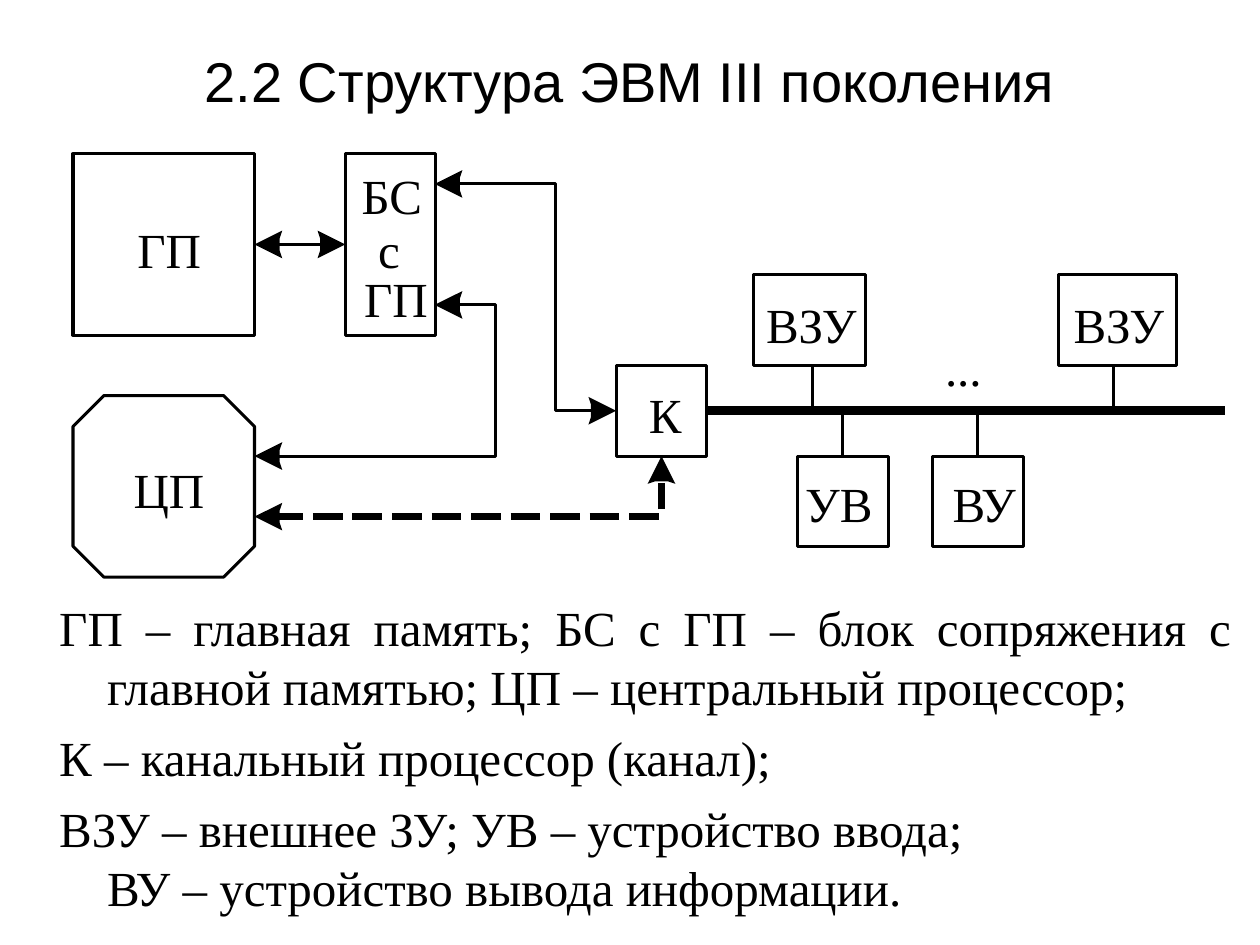
from dataclasses import dataclass

from lxml.etree import SubElement
from pptx import Presentation
from pptx.dml.color import RGBColor
from pptx.enum.shapes import MSO_CONNECTOR as Link, MSO_SHAPE as Form
from pptx.enum.text import MSO_ANCHOR as Anchor, MSO_AUTO_SIZE as Fit, PP_ALIGN as Align
from pptx.oxml.ns import qn
from pptx.util import Inches, Pt


@dataclass(frozen=True)
class Theme:
    ink: RGBColor = RGBColor(0, 0, 0)
    paper: RGBColor = RGBColor(255, 255, 255)
    head: str = "Arial"
    text: str = "Times New Roman"
    big: int = 32
    size: int = 28
    thin: float = 1.75
    dash: float = 4
    bus: float = 5.25


THEME = Theme()
TITLE = "2.2 Структура ЭВМ III поколения"
LEGEND = [
    "ГП – главная память; БС с ГП – блок сопряжения с главной памятью; "
    "ЦП – центральный процессор;",
    "К – канальный процессор (канал);",
    "ВЗУ – внешнее ЗУ; УВ – устройство ввода;\vВУ – устройство вывода информации.",
]
UNIT = 0.72  # side of a small block
BUS_Y = 3.26
SLACK = 0.12  # spare label width, so that no label breaks


def place(shape, x, y, w, h):
    shape.left, shape.top = Inches(x), Inches(y)
    shape.width, shape.height = Inches(w), Inches(h)


def style(par, name, size):
    for run in par.runs:
        run.font.name = name
        run.font.size = Pt(size)
        run.font.color.rgb = THEME.ink


def stroke(line, width):
    line.color.rgb = THEME.ink
    line.width = Pt(width)


def block(slide, x, y, w, h, form=Form.RECTANGLE):
    shape = slide.shapes.add_shape(form, Inches(x), Inches(y), Inches(w), Inches(h))
    shape.shadow.inherit = False
    shape.fill.solid()
    shape.fill.fore_color.rgb = THEME.paper
    stroke(shape.line, THEME.thin)
    return shape


def label(slide, text, x, y, w):
    box = slide.shapes.add_textbox(Inches(x), Inches(y), Inches(w + SLACK), Inches(0.47))
    frame = box.text_frame
    frame.margin_left = frame.margin_right = frame.margin_top = frame.margin_bottom = 0
    frame.word_wrap = True
    frame.auto_size = Fit.NONE
    frame.text = text
    frame.paragraphs[0].alignment = Align.LEFT
    style(frame.paragraphs[0], THEME.text, THEME.size)


def wire(slide, x1, y1, x2, y2, width=THEME.thin):
    line = slide.shapes.add_connector(
        Link.STRAIGHT, Inches(x1), Inches(y1), Inches(x2), Inches(y2))
    stroke(line.line, width)
    SubElement(line._element.spPr, qn("a:effectLst"))


def trace(slide, points, close=False):
    spots = [(Inches(x), Inches(y)) for x, y in points]
    pen = slide.shapes.build_freeform(*spots[0])
    pen.add_line_segments(spots[1:], close=close)
    shape = pen.convert_to_shape()
    shape.shadow.inherit = False
    return shape


def route(slide, points, width=THEME.thin):
    shape = trace(slide, points)
    shape.fill.background()
    stroke(shape.line, width)
    return shape


def arrow(slide, x, y, dx, dy):
    """Arrowhead with its tip at x, y, pointing along the unit step dx, dy."""
    ends = [(0, 0), (0.22, 0.11), (0.2, 0.05), (0.2, -0.05), (0.22, -0.11)]
    shape = trace(slide, [(x - dx * back - dy * side, y - dy * back + dx * side)
                          for back, side in ends], close=True)
    shape.fill.solid()
    shape.fill.fore_color.rgb = THEME.ink
    shape.line.fill.background()


def dashes(shape):
    line = shape.line._get_or_add_ln()
    dash = line.makeelement(qn("a:custDash"), {})
    SubElement(dash, qn("a:ds"), d="425000", sp="140000")
    line.find(qn("a:solidFill")).addnext(dash)


def heading(slide):
    title = slide.shapes.title
    place(title, 0.5, 0.08, 9, 1.11)
    frame = title.text_frame
    frame.text = TITLE
    frame.vertical_anchor = Anchor.MIDDLE
    frame.paragraphs[0].alignment = Align.CENTER
    style(frame.paragraphs[0], THEME.head, THEME.big)


def legend(slide):
    body = slide.placeholders[1]
    place(body, 0.37, 4.69, 9.5, 2.66)
    frame = body.text_frame
    frame.auto_size = Fit.NONE
    for i, text in enumerate(LEGEND):
        par = frame.add_paragraph() if i else frame.paragraphs[0]
        par.text = text
        props = par._p.get_or_add_pPr()
        props.set("marL", str(Inches(0.38)))
        props.set("indent", str(Inches(-0.38)))
        SubElement(props, qn("a:buNone"))
        par.alignment = Align.LEFT if i else Align.JUSTIFY
        par.space_before = Pt(7 if i else 0)
        style(par, THEME.text, THEME.size)


def main():
    deck = Presentation()
    deck.slide_width, deck.slide_height = Inches(10), Inches(7.5)
    slide = deck.slides.add_slide(deck.slide_layouts[1])
    legend(slide)
    heading(slide)

    # Bus and the stubs to its devices
    wire(slide, 5.61, BUS_Y, 9.72, BUS_Y, THEME.bus)
    for x in (6.45, 8.84):
        wire(slide, x, 2.9, x, BUS_Y)
    for x in (6.69, 7.76):
        wire(slide, x, BUS_Y, x, 3.62)

    # Blocks
    for x, y, w, h in [
        (0.58, 1.22, 2 * UNIT, 2 * UNIT),
        (2.74, 1.22, UNIT, 2 * UNIT),
        (4.89, 2.9, UNIT, UNIT),
        (5.98, 2.18, 0.89, UNIT),
        (8.4, 2.18, 0.94, UNIT),
        (6.33, 3.62, UNIT, UNIT),
        (7.4, 3.62, UNIT, UNIT),
    ]:
        block(slide, x, y, w, h)
    core = block(slide, 0.58, 3.14, 2 * UNIT, 2 * UNIT, Form.OCTAGON)
    core.adjustments[0] = 0.17

    # Data paths
    wire(slide, 2.18, 1.94, 2.57, 1.94)
    route(slide, [(2.18, 3.62), (3.93, 3.62), (3.93, 2.42), (3.62, 2.42)])
    route(slide, [(4.72, BUS_Y), (4.41, BUS_Y), (4.41, 1.46), (3.62, 1.46)])
    dashes(route(slide, [(2.17, 4.1), (5.25, 4.1), (5.25, 3.83)], THEME.dash))
    for x, y in [(2.02, 1.94), (2.02, 3.62), (2.02, 4.1), (3.45, 2.42), (3.45, 1.46)]:
        arrow(slide, x, y, -1, 0)
    for x, y in [(2.74, 1.94), (4.89, BUS_Y)]:
        arrow(slide, x, y, 1, 0)
    arrow(slide, 5.25, 3.62, 0, -1)

    # Labels
    for text, x, y, w in [
        ("ГП", 1.09, 1.74, 0.51),
        ("БС", 2.87, 1.31, 0.48),
        ("с", 3, 1.74, 0.17),
        ("ГП", 2.89, 2.13, 0.51),
        ("К", 5.15, 3.05, 0.26),
        ("ЦП", 1.06, 3.65, 0.56),
        ("ВЗУ", 6.08, 2.34, 0.73),
        ("ВЗУ", 8.52, 2.34, 0.73),
        ("...", 7.5, 2.68, 0.29),
        ("УВ", 6.39, 3.76, 0.53),
        ("ВУ", 7.56, 3.76, 0.53),
    ]:
        label(slide, text, x, y, w)

    deck.save("out.pptx")


if __name__ == "__main__":
    main()
